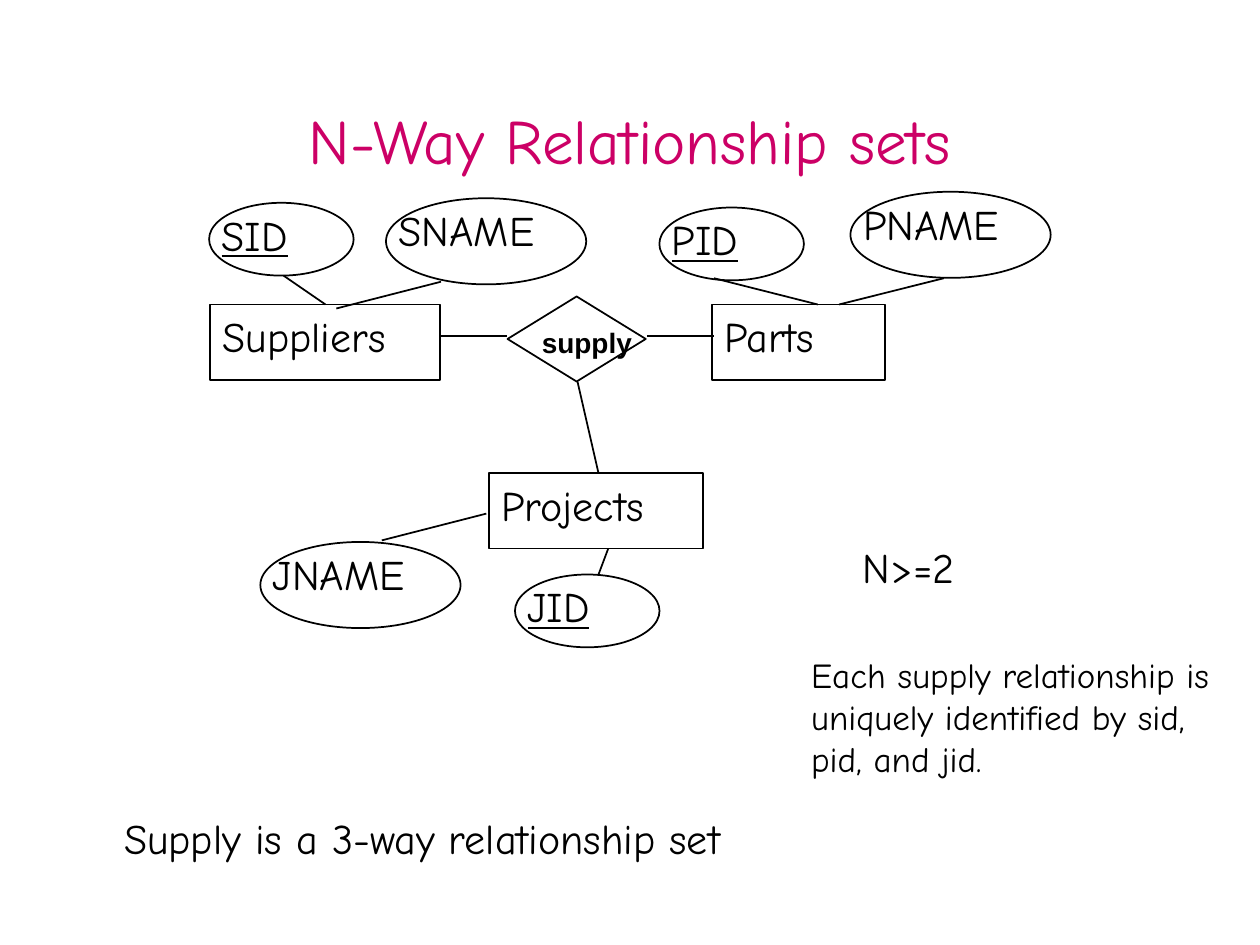
"""Build the N-way relationship sets slide."""
from lxml.etree import SubElement
from pptx import Presentation
from pptx.dml.color import RGBColor
from pptx.enum.shapes import MSO_CONNECTOR, MSO_SHAPE
from pptx.enum.text import MSO_ANCHOR, PP_ALIGN
from pptx.oxml.ns import qn
from pptx.util import Pt

BLACK = RGBColor(0, 0, 0)
MAGENTA = RGBColor(0xCC, 0x00, 0x66)
FONT = "Comic Neue"
BODY = {"name": FONT, "size": Pt(24)}
KEY = {**BODY, "underline": True}
KEY_SIZE, NAME_SIZE = (82.6, 41.6), (114.4, 49.2)
OVAL_INSET = 0.1464

ENTITIES = [
    ("Suppliers", 120, 174, 131.6, 43),
    ("Parts", 407, 174, 98.6, 43),
    ("Projects", 279.4, 270.4, 122.4, 43),
]
ATTRIBUTES = [
    ("PID", 376.8, 118.6, KEY_SIZE, KEY),
    ("SID", 119.5, 115.9, KEY_SIZE, KEY),
    ("JID", 294.3, 328.3, KEY_SIZE, KEY),
    ("PNAME", 486, 109.6, NAME_SIZE, BODY),
    ("SNAME", 220.6, 113.3, NAME_SIZE, BODY),
    ("JNAME", 148.8, 309.7, NAME_SIZE, BODY),
]
RELATIONSHIP = (290, 169.4, 79, 48.6)
LINKS = [
    (251.6, 192, 290, 192), (369.6, 192, 408, 192), (330, 218, 342, 270.4),
    (162, 157.5, 186, 174), (408, 159, 467.3, 174), (347.6, 313.4, 342, 328.3),
    (539.3, 159, 479.5, 174), (252, 161, 192.2, 176.3), (277.9, 293.5, 218.2, 308.8),
]
NOTES = [
    ("N-Way Relationship sets", (54, 36, 612, 87), True,
     {"name": FONT, "size": Pt(36), "color": MAGENTA}, PP_ALIGN.CENTER, MSO_ANCHOR.MIDDLE),
    ("supply", (302.6, 182.4, 66, 26.6), False,
     {"name": "Arial", "size": Pt(16), "bold": True}, PP_ALIGN.LEFT, MSO_ANCHOR.TOP),
    ("Supply is a 3-way relationship set", (63.8, 460.8, 391.6, 36.4), False,
     BODY, PP_ALIGN.LEFT, MSO_ANCHOR.TOP),
    ("N>=2", (486, 306, 70.6, 36.4), False, BODY, PP_ALIGN.LEFT, MSO_ANCHOR.TOP),
    ("Each supply relationship is uniquely identified by sid, pid, and jid.",
     (456.4, 370, 251.4, 80), True,
     {"name": FONT, "size": Pt(20)}, PP_ALIGN.LEFT, MSO_ANCHOR.TOP),
]


def write(sp, text, fmt, align=PP_ALIGN.LEFT, anchor=MSO_ANCHOR.TOP, wrap=True, inset=(0, 0)):
    tf = sp.text_frame
    dx, dy = inset
    frame = {"word_wrap": wrap, "vertical_anchor": anchor,
             "margin_left": Pt(7.2 - dx), "margin_right": Pt(7.2 - dx),
             "margin_top": Pt(3.6 - dy), "margin_bottom": Pt(3.6 - dy)}
    for key, value in frame.items():
        setattr(tf, key, value)
    p = tf.paragraphs[0]
    p.alignment = align
    r = p.add_run()
    r.text = text
    for key, value in fmt.items():
        if key != "color":
            setattr(r.font, key, value)
    r.font.color.rgb = fmt.get("color", BLACK)


def outline(sp):
    sp.line.color.rgb = BLACK
    sp.line.width = Pt(1)


def add_node(s, kind, *box):
    sp = s.shapes.add_shape(kind, *map(Pt, box))
    sp.shadow.inherit = False
    sp.fill.background()
    outline(sp)
    return sp


prs = Presentation()
prs.slide_width, prs.slide_height = Pt(720), Pt(540)
s = prs.slides.add_slide(prs.slide_layouts[6])

for text, *box in ENTITIES:
    write(add_node(s, MSO_SHAPE.RECTANGLE, *box), text, BODY)
add_node(s, MSO_SHAPE.DIAMOND, *RELATIONSHIP)
for text, x, y, (w, h), fmt in ATTRIBUTES:
    sp = add_node(s, MSO_SHAPE.OVAL, x, y, w, h)
    write(sp, text, fmt, inset=(OVAL_INSET * w, OVAL_INSET * h))
for ends in LINKS:
    link = s.shapes.add_connector(MSO_CONNECTOR.STRAIGHT, *map(Pt, ends))
    outline(link)
    SubElement(link._element.spPr, qn("a:effectLst"))
for text, box, wrap, fmt, align, anchor in NOTES:
    write(s.shapes.add_textbox(*map(Pt, box)), text, fmt, align, anchor, wrap)

prs.save("out.pptx")
